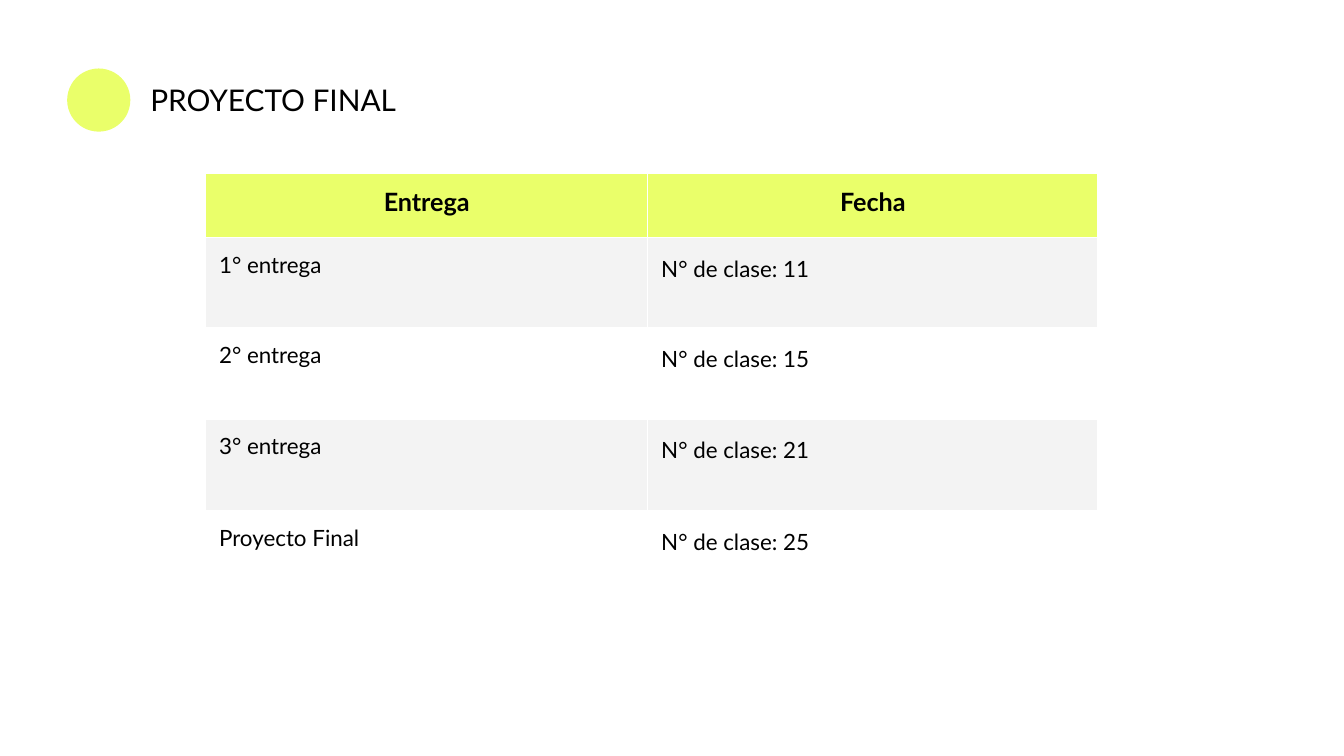
from lxml import etree
from pptx import Presentation
from pptx import util as u
from pptx.dml.color import RGBColor
from pptx.enum import shapes, text
from pptx.oxml import ns

LIME = RGBColor(0xEA, 0xFF, 0x6A)
GREY = RGBColor(0xF3, 0xF3, 0xF3)
WHITE = RGBColor(0xFF, 0xFF, 0xFF)
BLACK = RGBColor(0x00, 0x00, 0x00)
MARGIN = u.Inches(0.1)


def style_text(para, size, bold=False):
    for span in para.runs:
        span.font.name = "Lato"
        span.font.size = u.Pt(size)
        span.font.bold = bold
        span.font.color.rgb = BLACK


def add_borders(cell, color, width):
    properties = cell._tc.get_or_add_tcPr()
    for side in ("a:lnL", "a:lnR", "a:lnT", "a:lnB"):
        line = etree.SubElement(properties, ns.qn(side), w=str(u.Pt(width)))
        fill = etree.SubElement(line, ns.qn("a:solidFill"))
        etree.SubElement(fill, ns.qn("a:srgbClr"), val=str(color))


# Page in 16:9
deck = Presentation()
deck.slide_width = u.Inches(10)
deck.slide_height = u.Inches(10 * 9 / 16)
page = deck.slides.add_slide(deck.slide_layouts[6])
page.background.fill.solid()
page.background.fill.fore_color.rgb = WHITE

# Title
box = page.shapes.add_textbox(u.Inches(1.02), u.Inches(0.51), u.Inches(2.69), u.Inches(0.47))
frame = box.text_frame
frame.word_wrap = True
frame.auto_size = text.MSO_AUTO_SIZE.SHAPE_TO_FIT_TEXT
frame.margin_left = frame.margin_right = MARGIN
frame.margin_top = frame.margin_bottom = MARGIN
frame.text = "PROYECTO FINAL"
style_text(frame.paragraphs[0], 16)

# Circle beside the title
circle = page.shapes.add_shape(
    shapes.MSO_SHAPE.OVAL, u.Inches(0.5), u.Inches(0.51), u.Inches(0.47), u.Inches(0.47))
circle.shadow.inherit = False
circle.fill.solid()
circle.fill.fore_color.rgb = LIME
circle.line.fill.background()

# Table of deliveries
rows = [
    ("Entrega", "Fecha"),
    ("1° entrega", "N° de clase: 11"),
    ("2° entrega", "N° de clase: 15"),
    ("3° entrega", "N° de clase: 21"),
    ("Proyecto Final", "N° de clase: 25"),
]
widths = [3.29, 3.35]
heights = [0.48, 0.67, 0.68, 0.68, 0.68]
table = page.shapes.add_table(
    len(rows), len(widths), u.Inches(1.53), u.Inches(1.29),
    u.Inches(sum(widths)), u.Inches(sum(heights))).table
for column, width in zip(table.columns, widths):
    column.width = u.Inches(width)

for r, labels in enumerate(rows):
    table.rows[r].height = u.Inches(heights[r])
    header = r == 0
    for c, label in enumerate(labels):
        cell = table.cell(r, c)
        cell.margin_left = cell.margin_right = MARGIN
        cell.margin_top = cell.margin_bottom = MARGIN
        add_borders(cell, WHITE, 0.75)
        cell.fill.solid()
        cell.fill.fore_color.rgb = LIME if header else GREY if r % 2 else WHITE
        cell.text_frame.text = label
        para = cell.text_frame.paragraphs[0]
        if header:
            para.alignment = text.PP_ALIGN.CENTER
        elif c == 1:
            para.line_spacing = 1.15
        style_text(para, 13.5 if header else 12, header)

deck.save("out.pptx")
